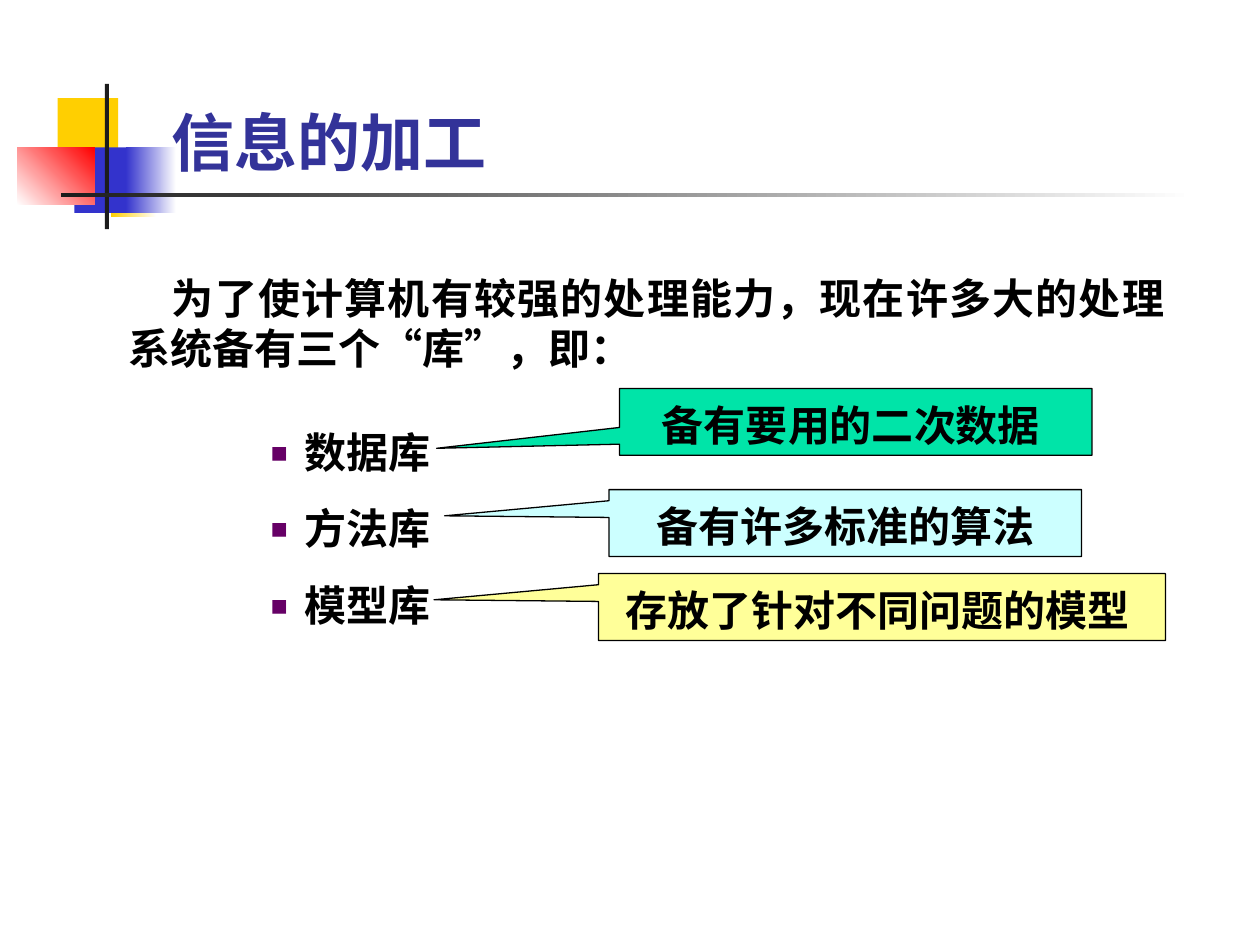
from collections import namedtuple
from dataclasses import dataclass

from lxml.etree import SubElement
from pptx import Presentation
from pptx.dml.color import RGBColor
from pptx.enum.shapes import MSO_SHAPE
from pptx.enum.text import MSO_ANCHOR, PP_ALIGN
from pptx.oxml.ns import qn
from pptx.util import Pt

Box = namedtuple("Box", "left top width height")


@dataclass(frozen=True)
class Theme:
    font: str = "Noto Sans CJK SC"
    title_size: float = 36
    body_size: float = 24
    body_line: float = 28.8
    paragraph_gap: float = 15
    title: str = "333399"
    ink: str = "000000"
    bullet: str = "660066"
    yellow: str = "FFCF01"
    blue: str = "3333CC"
    red: str = "FF0000"
    dark: str = "1C1C1C"
    white: str = "FFFFFF"
    green_note: str = "00E4A8"
    cyan_note: str = "CCFFFF"
    yellow_note: str = "FFFF99"


THEME = Theme()


def color(value):
    return RGBColor.from_string(value)


def in_points(box):
    return [Pt(length) for length in box]


def add_span(para, text, size, ink):
    span = para.add_run()
    span.text = text
    span.font.name = THEME.font
    span.font.size = Pt(size)
    span.font.bold = True
    span.font.color.rgb = color(ink)
    east_asian = SubElement(span.font._element, qn("a:ea"))
    east_asian.set("typeface", THEME.font)


def add_body_span(para, text, alignment):
    para.alignment = alignment
    para.line_spacing = Pt(THEME.body_line)
    add_span(para, text, THEME.body_size, THEME.ink)


def add_text_frame(page, box):
    frame = page.shapes.add_textbox(*in_points(box)).text_frame
    frame.word_wrap = True
    return frame


def add_block(page, box, start, end=None, angle=0):
    """Add a borderless rectangle, shaded from start to end when end is given."""
    block = page.shapes.add_shape(MSO_SHAPE.RECTANGLE, *in_points(box))
    block.shadow.inherit = False
    block.line.fill.background()
    if end is None:
        block.fill.solid()
        block.fill.fore_color.rgb = color(start)
    else:
        block.fill.gradient()
        block.fill.gradient_angle = angle
        for stop, value in zip(block.fill.gradient_stops, (start, end)):
            stop.color.rgb = color(value)


def add_ornament(page, box):
    """Draw the overlapping blocks, the upright bar and the fading title rule."""
    blocks = [
        (Box(23, 8, 34.5, 37.5), THEME.yellow),
        (Box(53.4, 38.4, 26, 37.5), THEME.yellow, THEME.white),
        (Box(32.5, 36.2, 33, 37.5), THEME.blue),
        (Box(62, 36.2, 28.8, 37.5), THEME.blue, THEME.white),
        (Box(0, 36.2, 44, 33), THEME.white, THEME.red, 45),
        (Box(50, 0, 2.2, box.height), THEME.dark),
        (Box(24.6, 62.2, box.width - 24.6, 2.2), THEME.dark, THEME.white),
    ]
    for part, *colors in blocks:
        placed = part._replace(left=box.left + part.left, top=box.top + part.top)
        add_block(page, placed, *colors)


def add_title(page, box, text):
    frame = add_text_frame(page, box)
    frame.vertical_anchor = MSO_ANCHOR.BOTTOM
    frame.margin_bottom = 0
    add_span(frame.paragraphs[0], text, THEME.title_size, THEME.title)


def add_introduction(page, box, text):
    para = add_text_frame(page, box).paragraphs[0]
    para._p.get_or_add_pPr().set("indent", str(Pt(25)))
    add_body_span(para, text, PP_ALIGN.JUSTIFY)


def add_bullet(para, hanging=22.5):
    properties = para._p.get_or_add_pPr()
    properties.set("marL", str(Pt(hanging)))
    properties.set("indent", str(-Pt(hanging)))
    bullet_color = SubElement(properties, qn("a:buClr"))
    SubElement(bullet_color, qn("a:srgbClr")).set("val", THEME.bullet)
    SubElement(properties, qn("a:buSzPct")).set("val", "120000")
    SubElement(properties, qn("a:buFont")).set("typeface", THEME.font)
    SubElement(properties, qn("a:buChar")).set("char", "▪")


def add_library_list(page, box, names):
    frame = add_text_frame(page, box)
    for index, name in enumerate(names):
        para = frame.add_paragraph() if index else frame.paragraphs[0]
        add_bullet(para)
        if index:
            para.space_before = Pt(THEME.paragraph_gap)
        add_body_span(para, name, PP_ALIGN.JUSTIFY)


def add_callout(page, box, text, fill, tip):
    """Add a note whose pointer ends at tip, in fractions from the box centre."""
    note = page.shapes.add_shape(MSO_SHAPE.RECTANGULAR_CALLOUT, *in_points(box))
    note.shadow.inherit = False
    note.adjustments[0], note.adjustments[1] = tip
    note.fill.solid()
    note.fill.fore_color.rgb = color(fill)
    note.line.color.rgb = color(THEME.ink)
    note.line.width = Pt(0.75)
    frame = note.text_frame
    frame.word_wrap = True
    frame.vertical_anchor = MSO_ANCHOR.TOP
    frame.margin_top = Pt(6)
    add_body_span(frame.paragraphs[0], text, PP_ALIGN.CENTER)


def build_deck():
    deck = Presentation()
    deck.slide_width, deck.slide_height = Pt(720), Pt(540)
    page = deck.slides.add_slide(deck.slide_layouts[6])
    add_ornament(page, Box(10, 48, 672.6, 83))
    add_title(page, Box(90.7, 12.2, 613.4, 90), "信息的加工")
    add_introduction(
        page,
        Box(66.2, 152, 606.2, 64.8),
        "为了使计算机有较强的处理能力，现在许多大的处理系统备有三个“库”，即：",
    )
    add_library_list(page, Box(138.2, 240, 306, 123.8), ["数据库", "方法库", "模型库"])
    callouts = [
        (Box(354, 222, 270, 38.2), "备有要用的二次数据 ", THEME.green_note, (-0.887, 0.395)),
        (Box(348, 279.8, 270, 38.2), "备有许多标准的算法", THEME.cyan_note, (-0.848, -0.108)),
        (Box(342, 327.8, 324, 38.2), "存放了针对不同问题的模型 ", THEME.yellow_note, (-0.79, -0.108)),
    ]
    for callout in callouts:
        add_callout(page, *callout)
    deck.save("out.pptx")


if __name__ == "__main__":
    build_deck()
